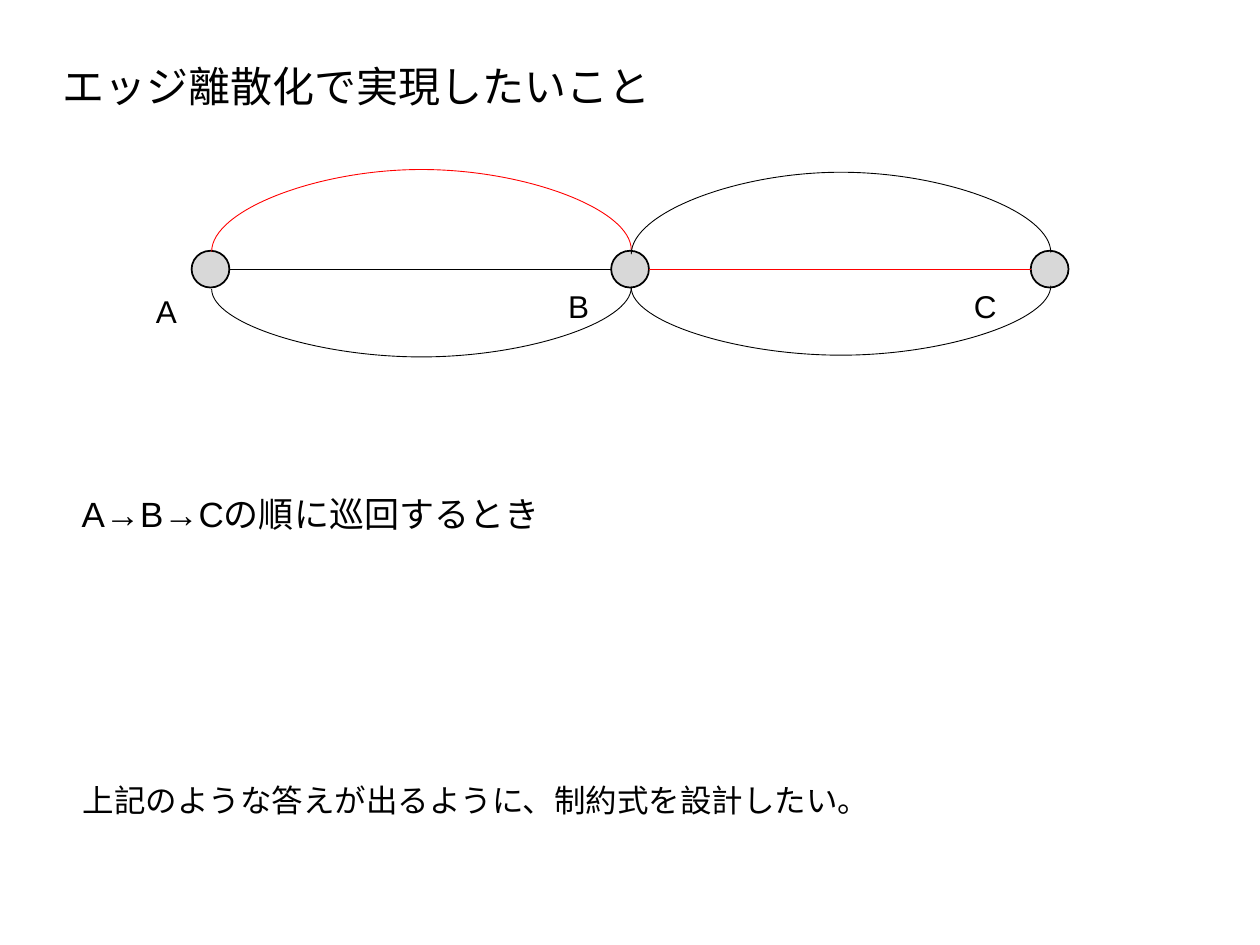
from dataclasses import dataclass

from lxml.etree import SubElement
from pptx import Presentation
from pptx.dml.color import RGBColor
from pptx.enum.shapes import MSO_CONNECTOR as Link, MSO_SHAPE as Preset
from pptx.enum.text import MSO_AUTO_SIZE as AutoSize
from pptx.oxml.ns import qn
from pptx.util import Pt

BLACK, RED, GRAY = "000000", "FF0000", "D8D8D8"
NODE_LEFT, NODE_TOP, NODE_PITCH = 109.5, 143.3, 239.75
NODE_WIDTH, NODE_HEIGHT = 21.6, 21
EDGE_Y = 154.1
ARC_LEFT = 121
ARC_DEPTH = 1


@dataclass
class Label:
    text: str
    left: float
    top: float
    width: float
    height: float
    size: float = 18


@dataclass
class Arc:
    section: int
    start_y: float
    rise: float
    color: str = BLACK


LABELS = [
    Label("エッジ離散化で実現したいこと", 28.8, 31, 486.7, 36, 24),
    Label("A", 82, 163.5, 37.5, 29),
    Label("B", 317.5, 160.5, 37.5, 29),
    Label("C", 549.4, 160.5, 37.5, 29),
    Label("A→B→Cの順に巡回するとき", 39.6, 278, 461.5, 31.5, 20),
    Label("上記のような答えが出るように、制約式を設計したい。", 40.3, 442.8, 461.5, 29),
]
ARCS = [
    Arc(0, 143.75, 47.25, RED),
    Arc(0, 165.3, -39),
    Arc(1, 164.3, -39),
    Arc(1, 145.3, 47.25),
]
EDGE_COLORS = [BLACK, RED]


def rgb(color: str) -> RGBColor:
    return RGBColor.from_string(color)


def apply_format(target, values: dict) -> None:
    for name, value in values.items():
        setattr(target, name, value)


def draw_node(shapes, index: int) -> None:
    node = shapes.add_shape(
        Preset.OVAL, Pt(NODE_LEFT + index * NODE_PITCH), Pt(NODE_TOP),
        Pt(NODE_WIDTH), Pt(NODE_HEIGHT))
    node.shadow.inherit = False
    node.fill.solid()
    node.fill.fore_color.rgb = rgb(GRAY)
    node.line.color.rgb = rgb(BLACK)
    node.line.width = Pt(1)


def draw_link(shapes, kind, start: tuple, end: tuple, color: str):
    link = shapes.add_connector(kind, *map(Pt, start + end))
    link.line.color.rgb = rgb(color)
    link.line.width = Pt(0.5)
    SubElement(link.element.spPr, qn("a:effectLst"))
    return link


def draw_edge(shapes, section: int, color: str) -> None:
    left = NODE_LEFT + NODE_WIDTH + section * NODE_PITCH
    right = NODE_LEFT + (section + 1) * NODE_PITCH
    draw_link(shapes, Link.STRAIGHT, (left, EDGE_Y), (right, EDGE_Y), color)


def draw_arc(shapes, arc: Arc) -> None:
    center_x = ARC_LEFT + (arc.section + 0.5) * NODE_PITCH
    center_y = arc.start_y - ARC_DEPTH / 2
    half_depth, half_span = ARC_DEPTH / 2, NODE_PITCH / 2
    curve = draw_link(
        shapes, Link.CURVE,
        (center_x + half_depth, center_y + half_span),
        (center_x - half_depth, center_y - half_span), arc.color)
    properties = curve.element.spPr
    properties.find(qn("a:xfrm")).set("rot", str(90 * 60000))
    adjustments = properties.find(qn("a:prstGeom")).get_or_add_avLst()
    bend = round(arc.rise / ARC_DEPTH * 100000)
    SubElement(adjustments, qn("a:gd"), name="adj1", fmla=f"val {bend}")


def draw_label(shapes, label: Label) -> None:
    box = shapes.add_textbox(
        *map(Pt, (label.left, label.top, label.width, label.height)))
    apply_format(box.text_frame, {
        "word_wrap": True, "auto_size": AutoSize.SHAPE_TO_FIT_TEXT})
    run = box.text_frame.paragraphs[0].add_run()
    run.text = label.text
    apply_format(run.font, {"name": "Arial", "size": Pt(label.size)})
    run.font.color.rgb = rgb(BLACK)


def main() -> None:
    deck = Presentation()
    apply_format(deck, {"slide_width": Pt(720), "slide_height": Pt(540)})
    shapes = deck.slides.add_slide(deck.slide_layouts[6]).shapes
    for index in range(3):
        draw_node(shapes, index)
    for arc in ARCS:
        draw_arc(shapes, arc)
    for section, color in enumerate(EDGE_COLORS):
        draw_edge(shapes, section, color)
    for label in LABELS:
        draw_label(shapes, label)
    deck.save("out.pptx")


if __name__ == "__main__":
    main()
